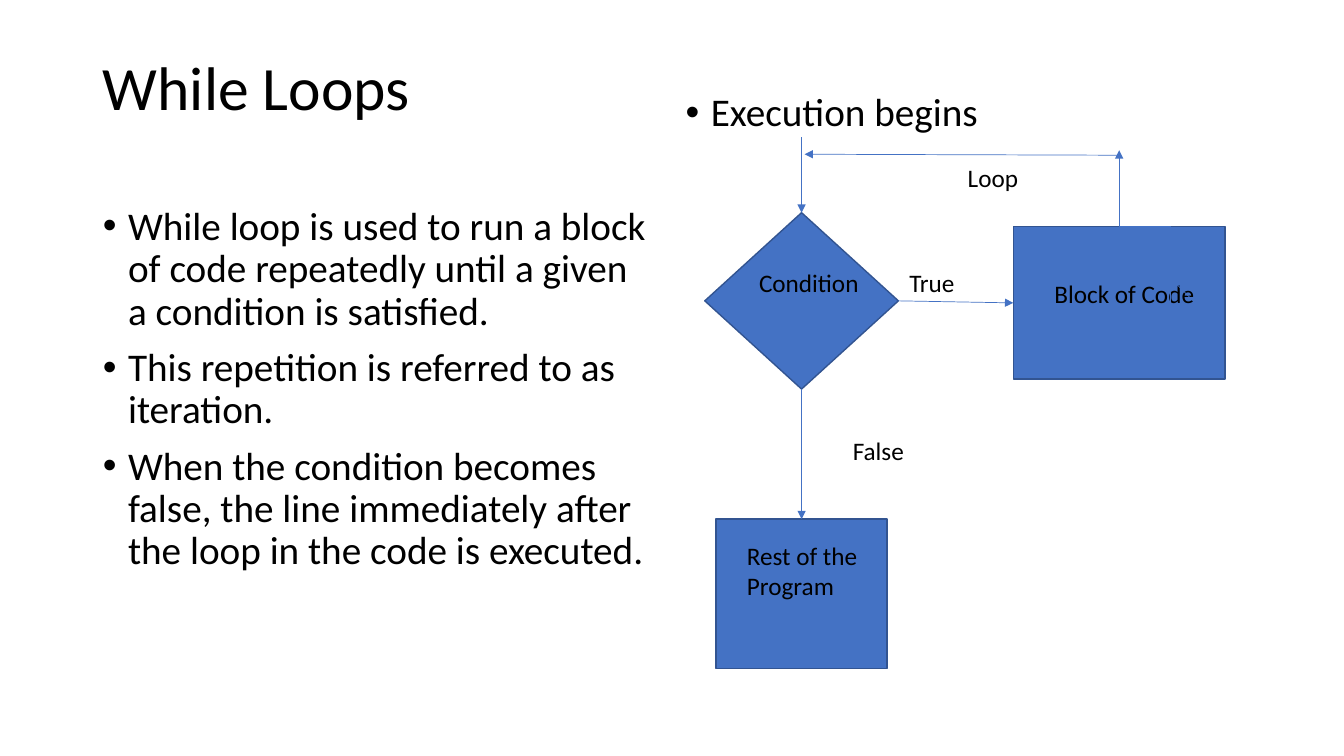
"""Build the While Loops slide: a bullet list beside a flowchart."""
from dataclasses import dataclass
from typing import Any, NamedTuple, Optional

from lxml import etree
from pptx import Presentation
from pptx.dml.color import RGBColor
from pptx.enum.shapes import MSO_CONNECTOR, MSO_SHAPE
from pptx.enum.text import MSO_ANCHOR, MSO_AUTO_SIZE, PP_ALIGN
from pptx.oxml.ns import qn
from pptx.util import Inches, Pt

STRAIGHT, ELBOW = MSO_CONNECTOR.STRAIGHT, MSO_CONNECTOR.ELBOW
DIAMOND, RECTANGLE = MSO_SHAPE.DIAMOND, MSO_SHAPE.RECTANGLE
MIDDLE, TOP_ANCHOR = MSO_ANCHOR.MIDDLE, MSO_ANCHOR.TOP
LEFT_ALIGN = PP_ALIGN.LEFT
NO_FIT, GROW = MSO_AUTO_SIZE.NONE, MSO_AUTO_SIZE.SHAPE_TO_FIT_TEXT
TOP, LEFT, BOTTOM, RIGHT = range(4)
TWO_CONTENT = 3


@dataclass(frozen=True)
class Theme:
    font: str = "Calibri"
    ink: RGBColor = RGBColor(0, 0, 0)
    accent: RGBColor = RGBColor(0x44, 0x72, 0xC4)
    outline: RGBColor = RGBColor(0x32, 0x54, 0x91)
    title_size: int = 44
    body_size: int = 28
    label_size: int = 18
    outline_width: float = 1
    flow_width: float = 0.5


class Box(NamedTuple):
    left: float
    top: float
    width: float
    height: float


class Node(NamedTuple):
    preset: Any
    box: Box


class Label(NamedTuple):
    text: str
    box: Box


class Flow(NamedTuple):
    start: tuple[float, float]
    end: tuple[float, float]
    source: Optional[tuple[str, int]] = None
    target: Optional[tuple[str, int]] = None
    route: Any = STRAIGHT


THEME = Theme()
TITLE = Label("While Loops", Box(0.92, 0.4, 11.5, 1))
EXPLANATION = [
    "While loop is used to run a block of code repeatedly until a given a condition is satisfied.",
    "This repetition is referred to as iteration.",
    "When the condition becomes false, the line immediately after the loop in the code is executed.",
]
EXPLANATION_BOX = Box(0.92, 2, 5.67, 4.76)
EXECUTION = ["Execution begins"]
EXECUTION_BOX = Box(6.7, 0.87, 5.67, 5.96)
NODES = {
    "condition": Node(DIAMOND, Box(6.99, 2.11, 1.92, 1.75)),
    "block": Node(RECTANGLE, Box(10.05, 2.25, 2.1, 1.51)),
    "rest": Node(RECTANGLE, Box(7.1, 5.15, 1.7, 1.48)),
}
LABELS = [
    Label("Condition", Box(7.43, 2.6, 1.22, 0.4)),
    Label("True", Box(8.92, 2.6, 0.83, 0.4)),
    Label("Block of Code", Box(10.36, 2.71, 1.66, 0.4)),
    Label("Rest of the Program", Box(7.31, 5.31, 1.3, 0.71)),
    Label("Loop", Box(9.5, 1.56, 0.87, 0.4)),
    Label("False", Box(8.36, 4.27, 0.93, 0.4)),
]
FLOWS = [
    Flow((7.95, 1.36), (7.95, 2.11), target=("condition", TOP)),
    Flow((8.91, 2.99), (10.05, 3), ("condition", RIGHT), ("block", LEFT)),
    Flow((7.95, 3.86), (7.95, 5.15), ("condition", BOTTOM), ("rest", TOP)),
    Flow((11.11, 2.25), (12.11, 3.25), route=ELBOW),
    Flow((11.1, 2.25), (12.1, 3.25), source=("block", TOP)),
    Flow((11.1, 2.25), (11.1, 1.49), source=("block", TOP)),
    Flow((11.1, 1.54), (7.98, 1.53)),
]


def apply(target: Any, values: dict[str, Any]) -> None:
    for attribute, value in values.items():
        setattr(target, attribute, value)


def place(shape: Any, box: Box) -> None:
    apply(shape, {side: Inches(length) for side, length in box._asdict().items()})


def style_font(paragraph: Any, size: int) -> None:
    apply(paragraph.font, {"name": THEME.font, "size": Pt(size), "bold": False})
    paragraph.font.color.rgb = THEME.ink


def fill_title(title: Any) -> None:
    place(title, TITLE.box)
    title.text_frame.text = TITLE.text
    apply(title.text_frame, {"vertical_anchor": MIDDLE, "auto_size": NO_FIT})
    heading = title.text_frame.paragraphs[0]
    apply(heading, {"alignment": LEFT_ALIGN, "line_spacing": 0.9})
    style_font(heading, THEME.title_size)


def fill_list(body: Any, items: list[str], box: Box) -> None:
    place(body, box)
    frame = body.text_frame
    frame.text = "\n".join(items)
    apply(frame, {"vertical_anchor": TOP_ANCHOR, "auto_size": NO_FIT, "word_wrap": True})
    for position, item in enumerate(frame.paragraphs):
        properties = item._p.get_or_add_pPr()
        properties.set("marL", str(Inches(0.25)))
        properties.set("indent", str(Inches(-0.25)))
        etree.SubElement(properties, qn("a:buFont"), typeface="Arial")
        etree.SubElement(properties, qn("a:buChar"), char="•")
        apply(item, {"line_spacing": 0.9, "space_before": Pt(10 if position else 0)})
        style_font(item, THEME.body_size)


def add_node(slide: Any, node: Node) -> Any:
    shape = slide.shapes.add_shape(node.preset, *map(Inches, node.box))
    shape.shadow.inherit = False
    shape.fill.solid()
    shape.fill.fore_color.rgb = THEME.accent
    shape.line.color.rgb = THEME.outline
    shape.line.width = Pt(THEME.outline_width)
    return shape


def add_label(slide: Any, label: Label) -> None:
    frame = slide.shapes.add_textbox(*map(Inches, label.box)).text_frame
    frame.text = label.text
    apply(frame, {"word_wrap": True, "auto_size": GROW})
    style_font(frame.paragraphs[0], THEME.label_size)


def add_flow(slide: Any, flow: Flow, nodes: dict[str, Any]) -> None:
    arrow = slide.shapes.add_connector(flow.route, *map(Inches, flow.start + flow.end))
    for join, link in ((arrow.begin_connect, flow.source), (arrow.end_connect, flow.target)):
        if link:
            name, side = link
            join(nodes[name], side)
    arrow.line.color.rgb = THEME.accent
    arrow.line.width = Pt(THEME.flow_width)
    etree.SubElement(arrow.line._get_or_add_ln(), qn("a:tailEnd"), type="triangle")
    etree.SubElement(arrow._element.spPr, qn("a:effectLst"))


def main() -> None:
    deck = Presentation()
    apply(deck, {"slide_width": Inches(13.33), "slide_height": Inches(7.5)})
    slide = deck.slides.add_slide(deck.slide_layouts[TWO_CONTENT])
    fill_title(slide.shapes.title)
    fill_list(slide.placeholders[1], EXPLANATION, EXPLANATION_BOX)
    fill_list(slide.placeholders[2], EXECUTION, EXECUTION_BOX)
    nodes = {name: add_node(slide, node) for name, node in NODES.items()}
    for label in LABELS:
        add_label(slide, label)
    for flow in FLOWS:
        add_flow(slide, flow, nodes)
    deck.save("out.pptx")


if __name__ == "__main__":
    main()
